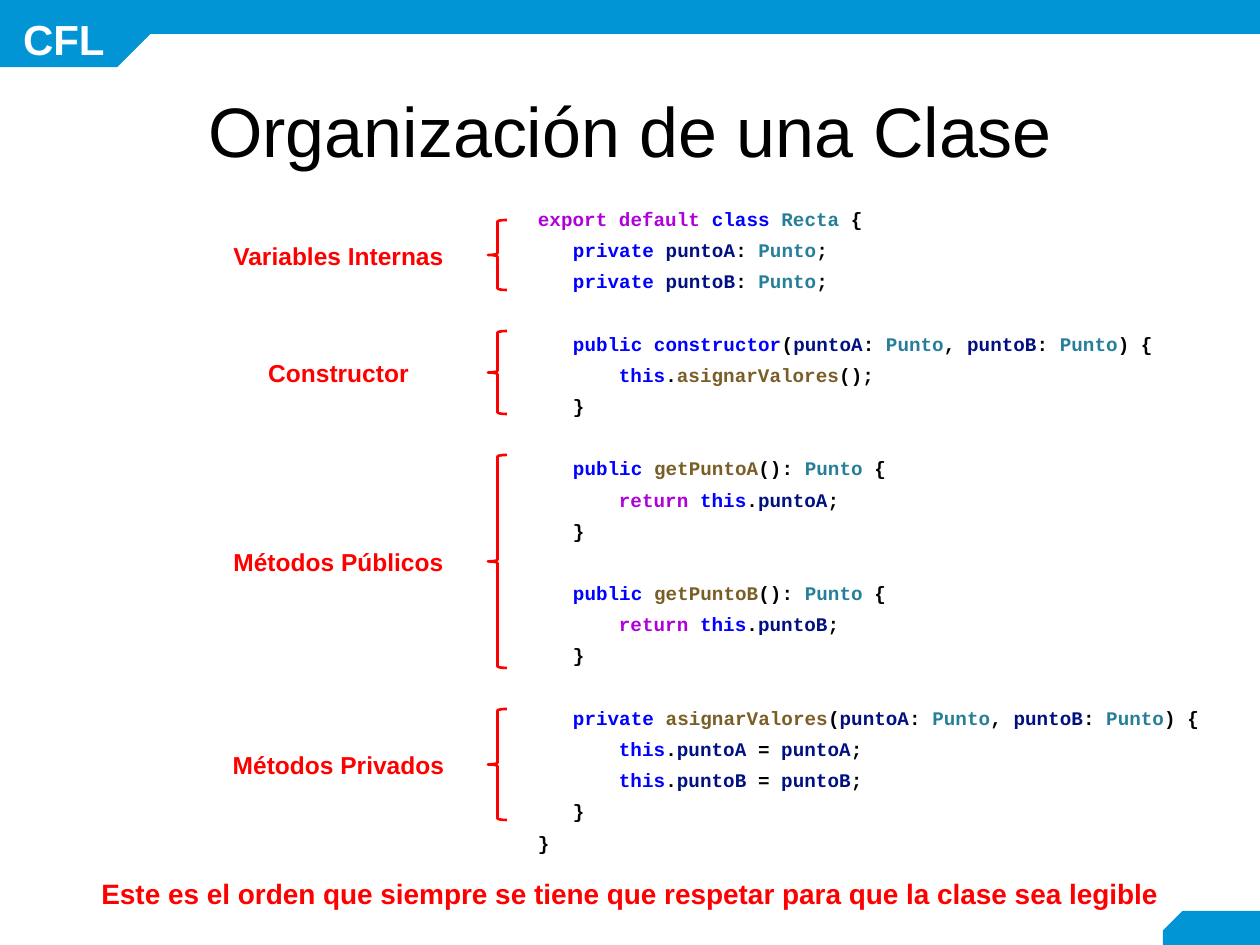
from dataclasses import dataclass
from itertools import groupby

from pptx import Presentation
from pptx.dml.color import RGBColor
from pptx.enum.shapes import MSO_SHAPE as Preset
from pptx.enum.text import MSO_ANCHOR as Anchor, MSO_AUTO_SIZE as AutoSize, PP_ALIGN as Align
from pptx.util import Emu, Pt

EMU_PER_PX = 914400 / 126
BLUE, RED, BLACK, WHITE = "0195D6", "FF0000", "000000", "FFFFFF"
CODE_SIZE = 11
CODE_SPACING = 19 / 14
BLANK_LINE = Pt(17.8)
INDENTS = (0, 35, 81)

WORDS_BY_COLOR = {
    "AF00DB": "export default return",
    "0000FF": "class private public constructor this",
    "267F99": "Recta Punto",
    "001080": "puntoA puntoB",
    "795E26": "asignarValores getPuntoA getPuntoB",
}
WORD_COLORS = {word: color for color, words in WORDS_BY_COLOR.items() for word in words.split()}


@dataclass(frozen=True)
class Box:
    left: int
    top: int
    width: int
    height: int

    def emu(self) -> tuple:
        return tuple(px(v) for v in (self.left, self.top, self.width, self.height))


@dataclass(frozen=True)
class CodeLine:
    depth: int
    text: str
    starts_group: bool = False


@dataclass(frozen=True)
class Section:
    label: str
    top: int
    height: int


SECTIONS = (
    Section("Variables Internas", 220, 70),
    Section("Constructor", 331, 83),
    Section("Métodos Públicos", 455, 213),
    Section("Métodos Privados", 709, 111),
)

CODE = (
    CodeLine(0, "export default class Recta {"),
    CodeLine(1, "private puntoA: Punto;"),
    CodeLine(1, "private puntoB: Punto;"),
    CodeLine(1, "public constructor(puntoA: Punto, puntoB: Punto) {", True),
    CodeLine(2, "this.asignarValores();"),
    CodeLine(1, "}"),
    CodeLine(1, "public getPuntoA(): Punto {", True),
    CodeLine(2, "return this.puntoA;"),
    CodeLine(1, "}"),
    CodeLine(1, "public getPuntoB(): Punto {", True),
    CodeLine(2, "return this.puntoB;"),
    CodeLine(1, "}"),
    CodeLine(1, "private asignarValores(puntoA: Punto, puntoB: Punto) {", True),
    CodeLine(2, "this.puntoA = puntoA;"),
    CodeLine(2, "this.puntoB = puntoB;"),
    CodeLine(1, "}"),
    CodeLine(0, "}"),
)


def px(value: int) -> Emu:
    return Emu(round(value * EMU_PER_PX))


def rgb(color: str) -> RGBColor:
    return RGBColor.from_string(color)


def style_font(font, name: str, size: int, bold: bool, color: str) -> None:
    font.name, font.size, font.bold = name, Pt(size), bold
    font.color.rgb = rgb(color)


def add_band(slide, preset, box: Box, flipped: bool = False, rotation: int = 0) -> None:
    band = slide.shapes.add_shape(preset, *box.emu())
    band.shadow.inherit = False
    band.fill.solid()
    band.fill.fore_color.rgb = rgb(BLUE)
    band.line.fill.background()
    band.rotation = rotation
    if preset == Preset.SNIP_1_RECTANGLE:
        band.adjustments[0] = 0.5
    if flipped:
        band.element.spPr.xfrm.set("flipH", "1")


def add_frame(slide, box: Box, anchor=Anchor.TOP):
    frame = slide.shapes.add_textbox(*box.emu()).text_frame
    frame.word_wrap = True
    frame.vertical_anchor = anchor
    frame.margin_left = frame.margin_right = frame.margin_top = frame.margin_bottom = px(13)
    return frame


def add_caption(slide, box: Box, text: str, size: int, color: str = RED,
                align=Align.CENTER, anchor=Anchor.MIDDLE) -> None:
    caption = add_frame(slide, box, anchor).paragraphs[0]
    caption.text = text
    caption.alignment = align
    style_font(caption.font, "Arial", size, True, color)


def color_runs(text: str) -> list[tuple[str, str]]:
    """Split code into coloured pieces; a lone space joins the word before it."""
    pieces: list[tuple[str, str]] = []
    for _, chars in groupby(text, key=str.isalnum):
        token = "".join(chars)
        color = WORD_COLORS.get(token, BLACK)
        if pieces and (token == " " or color == pieces[-1][1]):
            before, color = pieces.pop()
            token = before + token
        pieces.append((token, color))
    return pieces


def add_code(slide, box: Box, lines: tuple[CodeLine, ...]) -> None:
    frame = add_frame(slide, box)
    for number, line in enumerate(lines):
        paragraph = frame.add_paragraph() if number else frame.paragraphs[0]
        paragraph.line_spacing = CODE_SPACING
        if line.starts_group:
            paragraph.space_before = BLANK_LINE
        style_font(paragraph.font, "Courier New", CODE_SIZE, True, BLACK)
        properties = paragraph._p.get_or_add_pPr()
        properties.set("marL", str(px(INDENTS[line.depth])))
        properties.set("indent", "0")
        for text, color in color_runs(line.text):
            run = paragraph.add_run()
            run.text = text
            run.font.color.rgb = rgb(color)


def add_section(slide, section: Section) -> None:
    brace = slide.shapes.add_shape(
        Preset.LEFT_BRACE, *Box(488, section.top, 19, section.height).emu())
    brace.shadow.inherit = False
    brace.fill.background()
    brace.line.color.rgb = rgb(RED)
    brace.line.width = Pt(1.5)
    label_height = 62
    label_top = section.top + (section.height - label_height) // 2 + 1
    add_caption(slide, Box(208, label_top, 261, label_height), section.label, 14)


def set_title(slide, box: Box, text: str) -> None:
    title = slide.shapes.title
    title.left, title.top, title.width, title.height = box.emu()
    frame = title.text_frame
    frame.text = text
    frame.auto_size = AutoSize.NONE
    frame.vertical_anchor = Anchor.MIDDLE
    heading = frame.paragraphs[0]
    heading.alignment = Align.CENTER
    heading.line_spacing = 0.9
    style_font(heading.font, "Arial", 40, False, BLACK)


def main() -> None:
    deck = Presentation()
    deck.slide_width, deck.slide_height = px(1260), px(945)
    slide = deck.slides.add_slide(deck.slide_layouts[5])

    add_band(slide, Preset.SNIP_1_RECTANGLE, Box(1163, 911, 97, 39), flipped=True)
    add_band(slide, Preset.RECTANGLE, Box(141, 0, 1119, 34))
    add_band(slide, Preset.SNIP_1_RECTANGLE, Box(0, 0, 151, 67), flipped=True, rotation=180)
    add_caption(slide, Box(10, 0, 121, 72), "CFL", 24, WHITE, Align.LEFT, Anchor.TOP)

    set_title(slide, Box(43, 82, 1174, 105), "Organización de una Clase")
    add_code(slide, Box(525, 186, 692, 682), CODE)
    for section in SECTIONS:
        add_section(slide, section)
    add_caption(slide, Box(43, 862, 1174, 62),
                "Este es el orden que siempre se tiene que respetar para que la clase sea legible", 16)
    deck.save("out.pptx")


if __name__ == "__main__":
    main()
